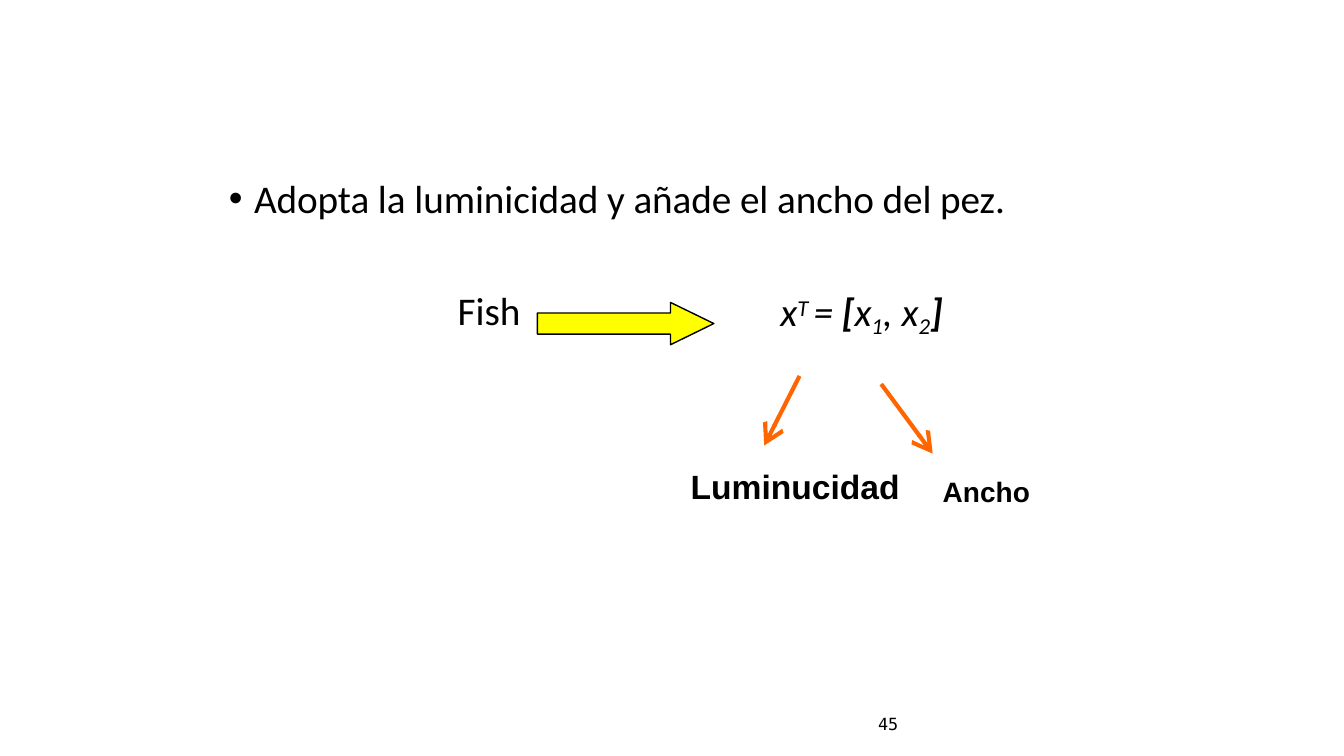
import dataclasses

import pptx
import pptx.dml.color
import pptx.enum.shapes
import pptx.enum.text
import pptx.oxml
import pptx.oxml.ns
import pptx.util

Inches = pptx.util.Inches
Pt = pptx.util.Pt
qualified_name = pptx.oxml.ns.qn


@dataclasses.dataclass(frozen=True)
class Theme:
    ink: str = "000000"
    block_arrow: str = "FFFF00"
    pointer: str = "FF6600"
    body_font: str = "Calibri"
    label_font: str = "Arial"
    number_font: str = "DejaVu Sans Mono"
    body_size: float = 28
    label_size: float = 24
    small_label_size: float = 20
    number_size: float = 12


def rgb(value):
    return pptx.dml.color.RGBColor.from_string(value)


def add_child(parent, tag, **attributes):
    child = pptx.oxml.parse_xml(f"<{tag} {pptx.oxml.ns.nsdecls('a')}/>")
    for name, value in attributes.items():
        child.set(name, str(value))
    parent.append(child)
    return child


class SlideBuilder:
    def __init__(self, presentation, theme):
        self.theme = theme
        self.slide = presentation.slides.add_slide(presentation.slide_layouts[6])

    def text_box(self, left, top, width, height):
        """Add an empty wrapping box and return its text frame."""
        shape = self.slide.shapes.add_textbox(
            Inches(left), Inches(top), Inches(width), Inches(height))
        frame = shape.text_frame
        settings = {
            "word_wrap": True,
            "auto_size": pptx.enum.text.MSO_AUTO_SIZE.NONE,
            "margin_left": 0,
            "margin_right": 0,
            "margin_top": Inches(0.01),
            "margin_bottom": 0,
        }
        for name, value in settings.items():
            setattr(frame, name, value)
        return frame

    def indent(self, paragraph, left, first=0, bullet=None):
        properties = paragraph._p.get_or_add_pPr()
        properties.set("marL", str(Inches(left)))
        properties.set("indent", str(Inches(first)))
        if bullet:
            add_child(properties, "a:buFont", typeface=self.theme.label_font)
            add_child(properties, "a:buChar", char=bullet)

    def run(self, paragraph, text, font, size, baseline=0, spacing=0, **styles):
        """Add a run; baseline is in percent and spacing in points."""
        run = paragraph.add_run()
        run.text = text
        settings = {"name": font, "size": Pt(size), **styles}
        for name, value in settings.items():
            setattr(run.font, name, value)
        run.font.color.rgb = rgb(self.theme.ink)
        properties = run._r.get_or_add_rPr()
        if baseline:
            properties.set("baseline", str(baseline * 1000))
        if spacing:
            properties.set("spc", str(round(spacing * 100)))

    def label(self, text, box, font, size, **styles):
        paragraph = self.text_box(*box).paragraphs[0]
        self.run(paragraph, text, font, size, **styles)

    def block_arrow(self, left, top, width, height, head):
        shape = self.slide.shapes.add_shape(
            pptx.enum.shapes.MSO_SHAPE.RIGHT_ARROW,
            Inches(left), Inches(top), Inches(width), Inches(height))
        shape.adjustments[0] = 0.5
        shape.adjustments[1] = head / height
        shape.shadow.inherit = False
        shape.fill.solid()
        shape.fill.fore_color.rgb = rgb(self.theme.block_arrow)
        shape.line.color.rgb = rgb(self.theme.ink)
        shape.line.width = Pt(1)

    def pointer(self, start, end):
        connector = self.slide.shapes.add_connector(
            pptx.enum.shapes.MSO_CONNECTOR.STRAIGHT,
            *(Inches(value) for value in (*start, *end)))
        connector.line.color.rgb = rgb(self.theme.pointer)
        connector.line.width = Pt(3)
        properties = connector._element.spPr
        line = properties.find(qualified_name("a:ln"))
        add_child(line, "a:tailEnd", type="arrow", w="lg", len="lg")
        add_child(properties, "a:effectLst")


def add_body(builder):
    theme = builder.theme
    frame = builder.text_box(2.23, 1.72, 7.83, 1.61)
    statement = frame.paragraphs[0]
    builder.indent(statement, 0.29, -0.25, bullet="•")
    builder.run(statement, "Adopta la luminicidad y añade el ancho del pez.",
                theme.body_font, theme.body_size, spacing=-0.05)

    subject = frame.add_paragraph()
    builder.indent(subject, 2.31)
    subject.space_before = Pt(46)
    builder.run(subject, "Fish", theme.body_font, theme.body_size, spacing=-0.05)


def add_formula(builder):
    theme = builder.theme
    formula = builder.text_box(7.74, 2.84, 2.32, 0.48).paragraphs[0]
    pieces = [
        ("x", {}),
        ("T ", {"baseline": 26}),
        ("= ", {"spacing": -0.05}),
        ("[", {"bold": True}),
        ("x", {}),
        ("1", {"baseline": -21}),
        (", x", {}),
        ("2", {"baseline": -21}),
        ("]", {"bold": True}),
    ]
    for text, styles in pieces:
        builder.run(formula, text, theme.body_font, theme.body_size,
                    italic=True, **styles)


def main():
    presentation = pptx.Presentation()
    presentation.slide_width = Inches(13.33)
    presentation.slide_height = Inches(7.5)
    theme = Theme()
    builder = SlideBuilder(presentation, theme)

    add_body(builder)
    add_formula(builder)
    builder.block_arrow(5.33, 3, 1.75, 0.42, head=0.43)
    builder.label("Luminucidad", (6.85, 4.61, 2.1, 0.43),
                  theme.label_font, theme.label_size, bold=True)
    builder.label("Ancho", (9.35, 4.7, 0.89, 0.36),
                  theme.label_font, theme.small_label_size, bold=True)
    builder.pointer((7.93, 3.73), (7.58, 4.42))
    builder.pointer((8.74, 3.81), (9.25, 4.5))
    builder.label("45", (8.71, 7.07, 0.24, 0.23),
                  theme.number_font, theme.number_size, spacing=-0.1)
    presentation.save("out.pptx")


if __name__ == "__main__":
    main()
